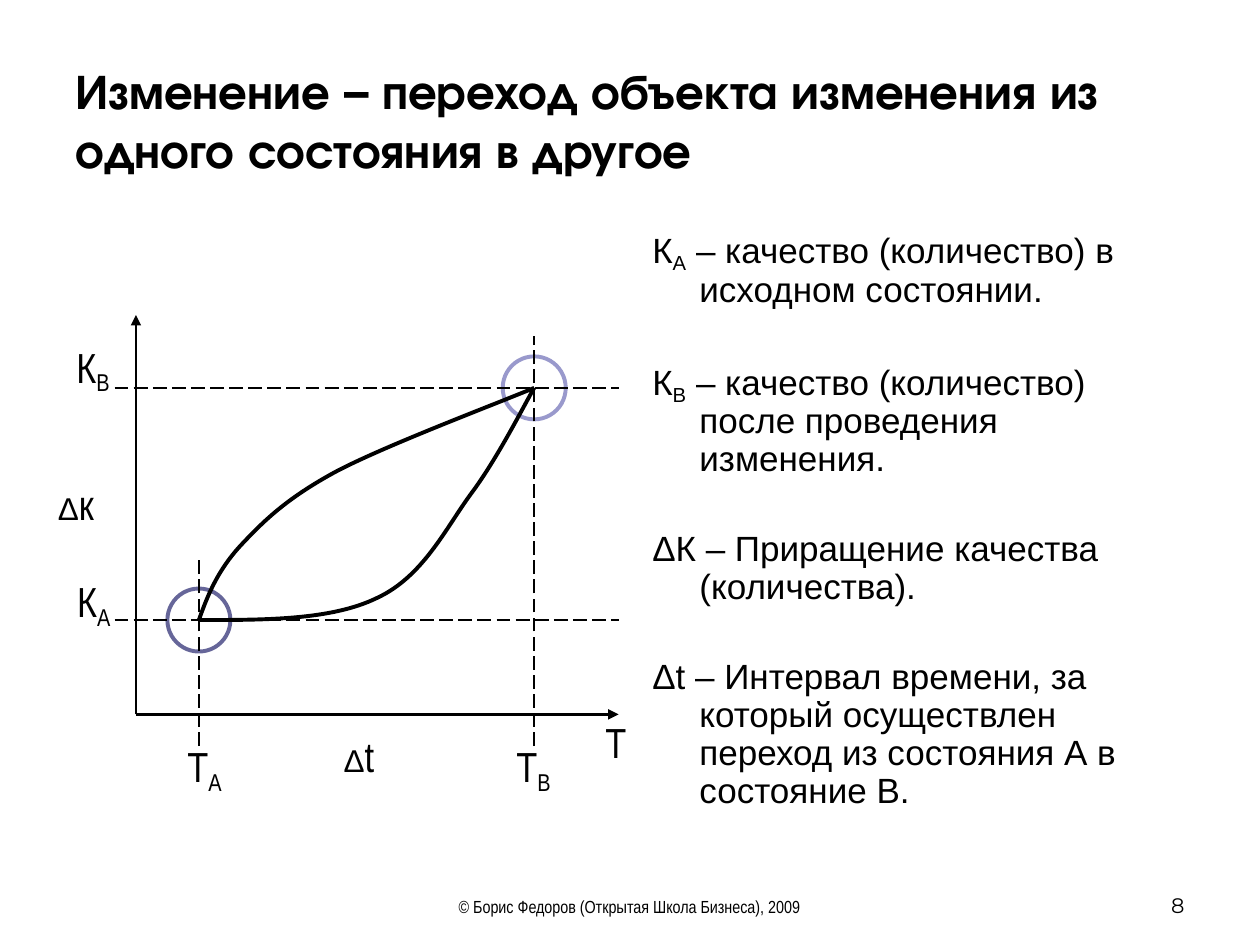
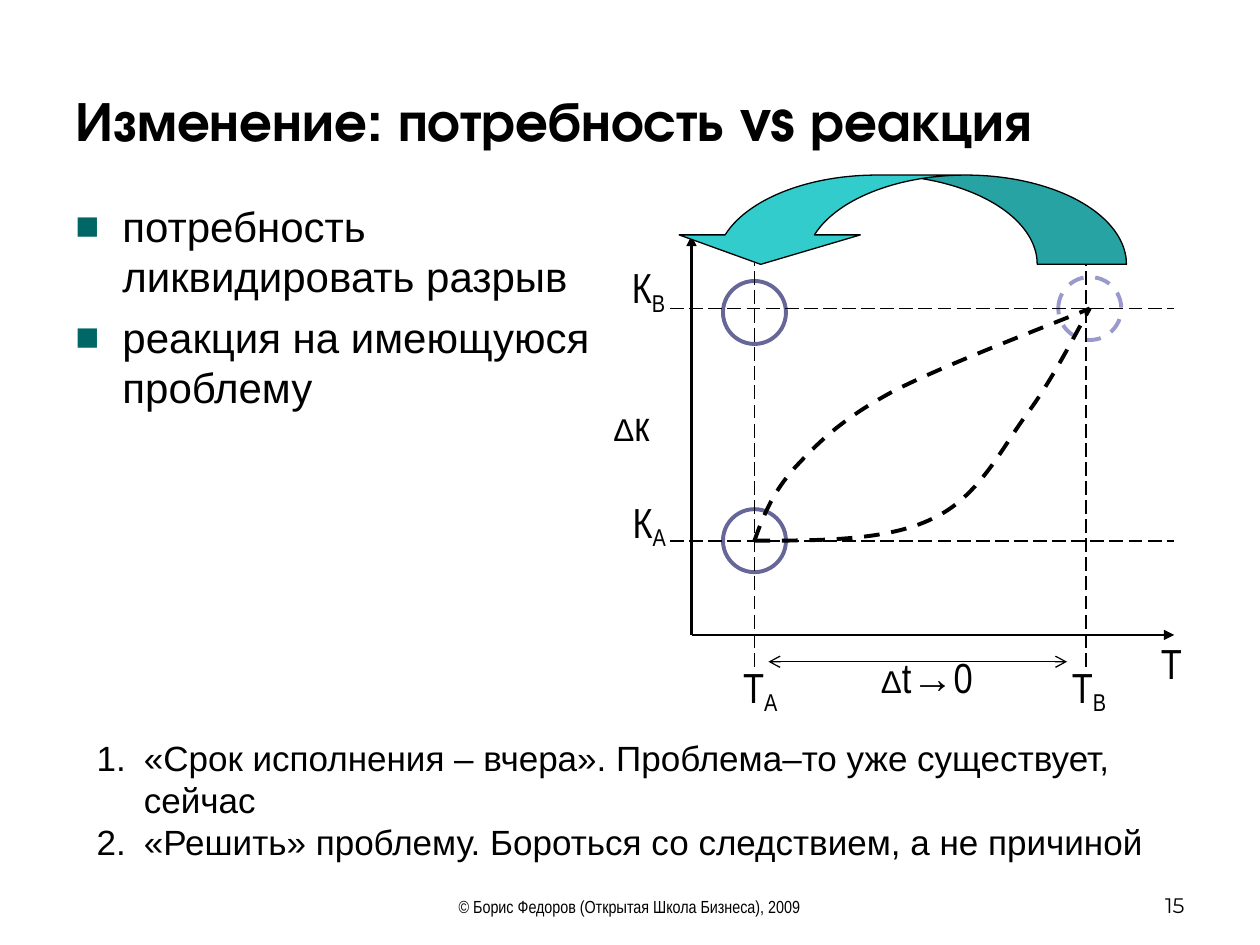
from dataclasses import dataclass

from lxml.etree import SubElement as Sub
from pptx import Presentation
from pptx.dml.color import RGBColor as Rgb
from pptx.enum.dml import MSO_LINE_DASH_STYLE as Dash
from pptx.enum.shapes import MSO_CONNECTOR as Link, MSO_SHAPE as Form
from pptx.enum.text import MSO_ANCHOR as Anchor, MSO_AUTO_SIZE as Fit, PP_ALIGN as Align
from pptx.oxml.ns import qn
from pptx.util import Cm, Pt


@dataclass(frozen=True)
class Theme:
    ink: str = "000000"
    paper: str = "FFFFFF"
    start: str = "666699"
    goal: str = "9999CC"
    mark: str = "006666"
    arrow: str = "33CCCC"
    thin: float = 0.75
    guide: float = 1
    axis: float = 1.5
    bold: float = 2.25


# Text styles: font, size, baseline shift
TYPE = {
    "head": ("TeX Gyre Adventor", 28, 0),
    "big": ("TeX Gyre Adventor", 32, 0),
    "foot": ("Arial Narrow", 10, 0),
    "page": ("Montserrat", 12, 0),
    "body": ("Arial", 20, 0),
    "sub": ("Arial", 20, -20000),
    "list": ("Arial", 24, 0),
    "name": ("Arial Narrow", 24, 0),
    "low": ("Arial Narrow", 24, -20000),
    "delta": ("Arial", 18, 0),
    "sign": ("Arial", 24, 0),
}
OWNER = "© Борис Федоров (Открытая Школа Бизнеса), 2009"

# Graph in cm, measured from the corner of the axes
WIDE, TALL = 9.73, 8.05
A, B = (1.27, -1.9), (8.03, -6.58)
RING = 1.27
CURVES = (
    [A, (2.62, -1.9), (3.94, -1.9), (4.85, -2.34), (5.79, -2.77),
     (6.25, -3.76), (6.76, -4.45), (7.29, -5.16), (7.82, -6.22), B],
    [A, (1.45, -2.41), (1.65, -2.9), (2.11, -3.4), (2.57, -3.89),
     (3.02, -4.34), (4.01, -4.88), (5, -5.41), (7.37, -6.3), B],
)
LABELS = (
    ((-1.45, -7.65, 1.17, 1.37), [("К", "name"), ("В", "low")]),
    ((-1.65, -2.92, 1.6, 1.37), [("К", "name"), ("А", "low")]),
    ((0.79, 0.41, 1.19, 1.37), [("Т", "name"), ("A", "low")]),
    ((7.42, 0.41, 1.19, 1.37), [("Т", "name"), ("B", "low")]),
    ((9.22, -0.08, 0.91, 1.27), [("Т", "name")]),
    ((-2.06, -4.88, 1.7, 1.27), [("Δ", "delta"), ("к", "name")]),
)
HANG = {"marL": str(Cm(0.95)), "indent": str(-Cm(0.95))}


def put(obj, form):
    for key, val in form.items():
        setattr(obj, key, val)


class Deck:
    def __init__(self, theme):
        self.look = theme
        self.prs = Presentation()
        put(self.prs, {"slide_width": Cm(25.4), "slide_height": Cm(19.05)})
        self.page = None

    # Slide with title, footer and number
    def slide(self, title, style, num):
        self.page = self.prs.slides.add_slide(self.prs.slide_layouts[5])
        head = self.page.shapes.title
        self.place(head, (1.27, 1.27, 22.86, 2.26))
        put(head.text_frame, {"vertical_anchor": Anchor.MIDDLE,
                              "auto_size": Fit.NONE, "word_wrap": True})
        self.para(head.text_frame.paragraphs[0], [(title, style)],
                  {"alignment": Align.LEFT}, bold=True)
        for box, text, kind, side in (
                ((7.49, 17.73, 10.39, 0.89), OWNER, "foot", Align.CENTER),
                ((18.21, 17.35, 5.92, 1.27), num, "page", Align.RIGHT)):
            self.text(box, [[(text, kind)]], {"alignment": side}, Anchor.BOTTOM)

    def place(self, shape, box):
        put(shape, dict(zip(("left", "top", "width", "height"), map(Cm, box))))

    # Text
    def para(self, para, runs, form, bold=False):
        put(para, form)
        for text, style in runs:
            face, size, base = TYPE[style]
            run = para.add_run()
            run.text = text
            put(run.font, {"name": face, "size": Pt(size), "bold": bold})
            run.font.color.rgb = Rgb.from_string(self.look.ink)
            if base:
                run.font._element.set("baseline", str(base))

    def text(self, box, rows, form, anchor=Anchor.TOP, pad=0.25, hang=False, bullet=None):
        frame = self.page.shapes.add_textbox(*map(Cm, box)).text_frame
        put(frame, {"word_wrap": True, "vertical_anchor": anchor,
                    "margin_left": Cm(pad), "margin_right": Cm(pad)})
        for i, runs in enumerate(rows):
            para = frame.add_paragraph() if i else frame.paragraphs[0]
            if hang:
                self.hang(para, bullet)
            first = {} if i else {"space_before": Pt(0)}
            self.para(para, runs, {**form, **first})

    def hang(self, para, bullet):
        prop = para._p.get_or_add_pPr()
        for key, val in HANG.items():
            prop.set(key, val)
        if bullet == "1.":
            Sub(prop, qn("a:buFont"), typeface="Arial")
            Sub(prop, qn("a:buAutoNum"), type="arabicPeriod")
        elif bullet:
            tint = Sub(prop, qn("a:buClr"))
            Sub(tint, qn("a:srgbClr"), val=self.look.mark)
            Sub(prop, qn("a:buSzPct"), val="95000")
            Sub(prop, qn("a:buFont"), typeface="Arial")
            Sub(prop, qn("a:buChar"), char=bullet)

    # Lines and shapes
    def pen(self, line, color, width, dash=None):
        line.color.rgb = Rgb.from_string(color)
        put(line, {"width": Pt(width), "dash_style": dash})

    def line(self, start, end, width, dash=None, **ends):
        link = self.page.shapes.add_connector(Link.STRAIGHT, *map(Cm, (*start, *end)))
        self.pen(link.line, self.look.ink, width, dash)
        edge = link.line._get_or_add_ln()
        for tag in ("headEnd", "tailEnd"):
            if tag in ends:
                Sub(edge, qn("a:" + tag), type=ends[tag])
        Sub(link._element.spPr, qn("a:effectLst"))

    def shape(self, form, box, fill, color, width, dash=None):
        item = self.page.shapes.add_shape(form, *map(Cm, box))
        item.shadow.inherit = False
        item.fill.solid()
        item.fill.fore_color.rgb = Rgb.from_string(fill)
        self.pen(item.line, color, width, dash)
        return item

    def ring(self, mid, color, dash=None):
        x, y = (v - RING / 2 for v in mid)
        self.shape(Form.OVAL, (x, y, RING, RING), self.look.paper, color,
                   self.look.bold, dash)

    def curve(self, knots, dash):
        first, *rest = [tuple(map(Cm, knot)) for knot in knots]
        draft = self.page.shapes.build_freeform(*first)
        draft.add_line_segments(rest, close=False)
        item = draft.convert_to_shape()
        item.shadow.inherit = False
        item.fill.background()
        self.pen(item.line, self.look.ink, self.look.bold, dash)
        # Each three straight steps become one Bezier piece
        trace = item._element.xpath(".//a:pathLst/a:path")[0]
        steps = trace.findall(qn("a:lnTo"))
        for i in range(0, len(steps), 3):
            piece = Sub(trace, qn("a:cubicBezTo"))
            for step in steps[i:i + 3]:
                piece.append(step[0])
                trace.remove(step)

    # Graph of the change from A to B
    def graph(self, zero, top, span, gap, bx=B[0], dash=None, extra=None):
        look = self.look

        def at(x, y):
            return zero[0] + x, zero[1] + y

        if extra:
            self.ring(at(*extra), look.start)
        for tip in ((0, -TALL), (WIDE, 0)):
            self.line(zero, at(*tip), look.axis, tailEnd="triangle")
        self.ring(at(*A), look.start)
        self.ring(at(*B), look.goal, dash)
        for start, end in (((bx, 0.64), (bx, -7.62)),
                           ((A[0], 0.64), (A[0], top)),
                           ((-0.43, A[1]), (WIDE, A[1])),
                           ((-0.43, B[1]), (WIDE, B[1]))):
            self.line(at(*start), at(*end), look.guide, Dash.LONG_DASH)
        for knots in CURVES:
            self.curve([at(*knot) for knot in knots], dash)
        for (x, y, *size), runs in (*LABELS, (span, gap)):
            self.text((*at(x, y), *size), [runs], {"alignment": Align.CENTER},
                      Anchor.MIDDLE, pad=0)


def main():
    look = Theme()
    deck = Deck(look)

    # Change as a move between states
    deck.slide("Изменение – переход объекта изменения из одного состояния в другое",
               "head", "8")
    terms = [
        [("К", "body"), ("А", "sub"),
         (" – качество (количество) в исходном состоянии.", "body")],
        [("К", "body"), ("В", "sub"),
         (" – качество (количество) после проведения изменения.", "body")],
        [("ΔК – Приращение качества (количества).", "body")],
        [("Δt – Интервал времени, за который осуществлен переход "
          "из состояния А в состояние В.", "body")],
    ]
    deck.text((12.9, 4.52, 11.23, 12.8), terms,
              {"line_spacing": 0.9, "space_before": Pt(5), "space_after": Pt(25)},
              hang=True)
    gap = [("Δ", "delta"), ("t", "name")]
    deck.graph((2.74, 14.4), -3.18, (3.76, 0.2, 1.47, 1.27), gap)

    # Need versus reaction
    deck.slide("Изменение: потребность vs реакция", "big", "15")
    needs = ("потребность ликвидировать разрыв", "реакция на имеющуюся проблему")
    deck.text((1.27, 3.91, 11.23, 10.21), [[(need, "list")] for need in needs],
              {"space_before": Pt(6)}, hang=True, bullet="■")
    deck.graph((13.94, 12.8), -7.49, (3.35, 0.2, 2.79, 1.27),
               gap + [("→", "sign"), ("0", "name")],
               bx=7.95, dash=Dash.DASH, extra=(1.27, -6.5))
    back = deck.shape(Form.CURVED_DOWN_ARROW, (13.51, 3.53, 9.2, 1.8),
                      look.arrow, look.ink, look.thin)
    for i, ratio in enumerate((1, 2.03, 0.33)):
        back.adjustments[i] = ratio
    back._element.spPr.xfrm.set("flipH", "1")
    deck.line((15.49, 13.34), (21.51, 13.34), look.thin,
              headEnd="arrow", tailEnd="arrow")
    traps = ("«Срок исполнения – вчера». Проблема–то уже существует, сейчас",
             "«Решить» проблему. Бороться со следствием, а не причиной")
    deck.text((1.7, 14.73, 22.2, 2.79), [[(trap, "body")] for trap in traps],
              {}, hang=True, bullet="1.")

    deck.prs.save("out.pptx")


if __name__ == "__main__":
    main()
